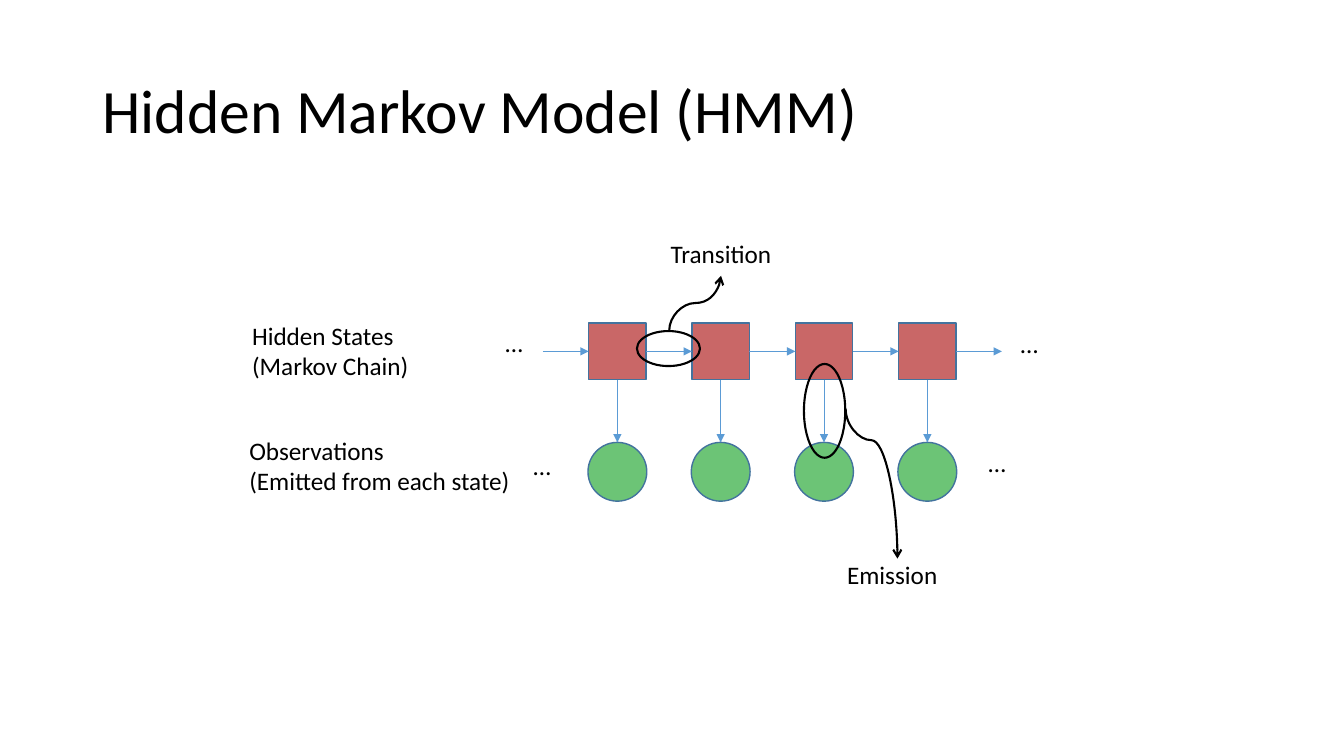
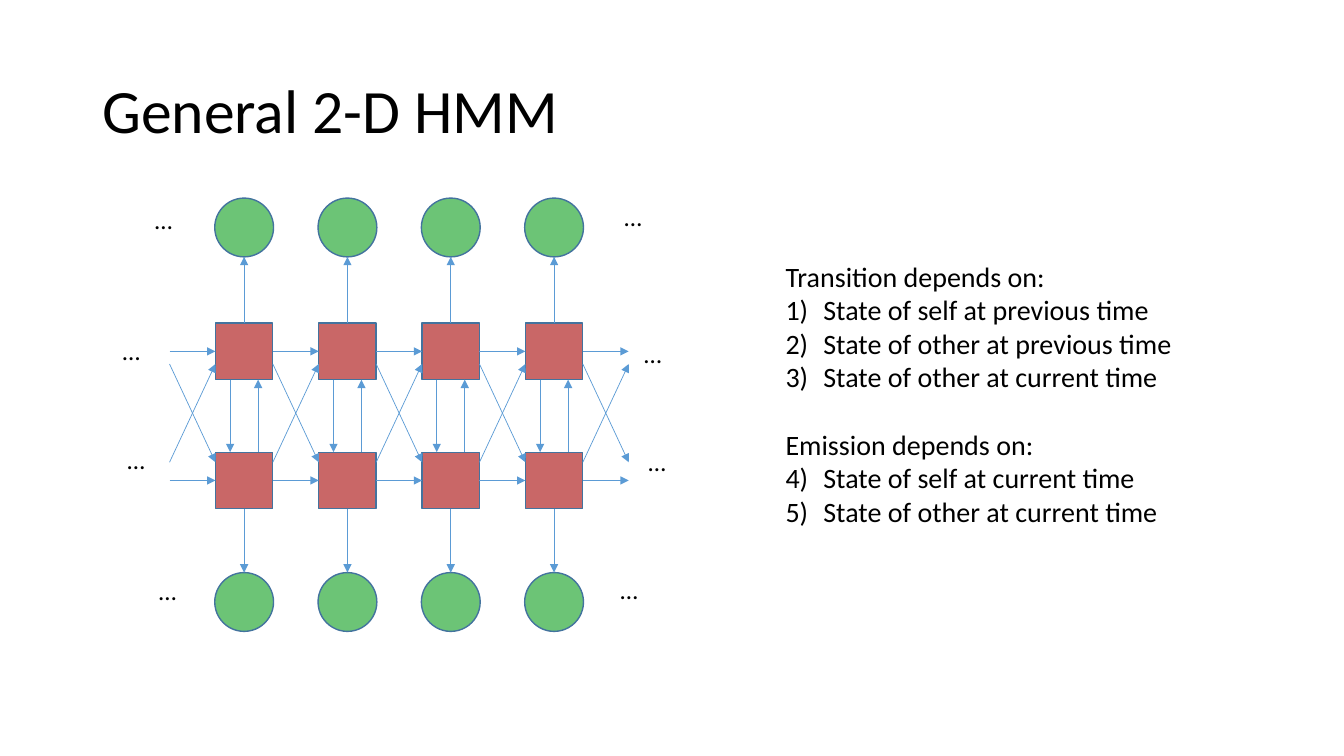
"""Builds two slides on hidden Markov models."""
import pptx
import pptx.util
import pptx.dml.color
import pptx.enum.shapes
import pptx.enum.text
import pptx.oxml.ns
from lxml import etree

Pt = pptx.util.Pt
KIND = pptx.enum.shapes.MSO_SHAPE
LINK = pptx.enum.shapes.MSO_CONNECTOR
qn = pptx.oxml.ns.qn

THEME = {
    "font": "Calibri", "ink": "000000", "state": "C96767", "seen": "6CC476",
    "edge": "43739E", "arrow": "5B9BD5",
    "title": 44, "list": 20, "label": 18, "rim": 1, "thin": 0.5, "thick": 1.5,
}
COUNT, PITCH = 4, 73.8
WIDE, TALL, DISC = 41, 40.4, 42

CHAIN = {
    "title": "Hidden Markov Model (HMM)",
    "left": 441, "state": 251, "seen": 337,
    "dots": [(374, 318), (722, 231), (354, 230), (699, 316)],
    "labels": [
        (173, 225, 172, ["Hidden States", "(Markov Chain)"]),
        (171, 307.5, 216, ["Observations", "(Emitted from each state)"]),
        (472, 167, 172, ["Transition"]),
        (598, 396, 172, ["Emission"]),
    ],
    "rings": [(477.5, 249, 45, 25), (589, 293.5, 29.5, 67)],
    "curves": [((604, 292), (641, 399), 0.21), ((478, 236), (515, 197), 0.5)],
}
GRID = {
    "title": "General 2-D HMM",
    "left": 174.4, "states": (251, 343.2), "seen": (162.5, 430),
    "dots": [(456, 315), (436, 407), (439, 140), (453, 238),
             (84, 314), (106.5, 407.5), (103.5, 142.5), (80.5, 236)],
    "list": [
        ("Transition depends on:", [
            "State of self at previous time",
            "State of other at previous time",
            "State of other at current time"]),
        ("Emission depends on:", [
            "State of self at current time",
            "State of other at current time"]),
    ],
}


def tint(name):
    return pptx.dml.color.RGBColor.from_string(THEME[name])


def write(para, text, size):
    run = para.add_run()
    run.text = text
    run.font.name = THEME["font"]
    run.font.size = Pt(THEME[size])
    run.font.color.rgb = tint("ink")


def box(slide, x, y, w, h):
    frame = slide.shapes.add_textbox(Pt(x), Pt(y), Pt(w), Pt(h)).text_frame
    frame.word_wrap = True
    return frame


def lines(frame):
    yield frame.paragraphs[0]
    while True:
        yield frame.add_paragraph()


def label(slide, x, y, w, texts):
    frame = box(slide, x, y, w, 7 + 22 * len(texts))
    for text, para in zip(texts, lines(frame)):
        write(para, text, "label")


def start(deck, data):
    slide = deck.slides.add_slide(deck.slide_layouts[6])
    frame = box(slide, 66, 29, 828, 104)
    frame.vertical_anchor = pptx.enum.text.MSO_ANCHOR.MIDDLE
    frame.paragraphs[0].line_spacing = 0.9
    write(frame.paragraphs[0], data["title"], "title")
    for x, y in data["dots"]:
        label(slide, x, y, 25, ["…"])
    return slide


def node(slide, kind, x, y, w, h, fill=None, edge="edge", rim="rim"):
    shape = slide.shapes.add_shape(
        kind, Pt(x - w / 2), Pt(y - h / 2), Pt(w), Pt(h))
    shape.shadow.inherit = False
    if fill:
        shape.fill.solid()
        shape.fill.fore_color.rgb = tint(fill)
    else:
        shape.fill.background()
    shape.line.color.rgb = tint(edge)
    shape.line.width = Pt(THEME[rim])
    return shape


def arrow(slide, a, b, kind=LINK.STRAIGHT, color="arrow", size="thin",
          head="triangle"):
    link = slide.shapes.add_connector(kind, *map(Pt, (*a, *b)))
    link.line.color.rgb = tint(color)
    link.line.width = Pt(THEME[size])
    props = link._element.spPr
    etree.SubElement(props.find(qn("a:ln")), qn("a:tailEnd"), type=head)
    etree.SubElement(props, qn("a:effectLst"))
    return link


def curve(slide, a, b, bend):
    midx, midy = (a[0] + b[0]) / 2, (a[1] + b[1]) / 2
    down = b[1] > a[1]
    run = abs(b[1] - a[1]) / 2
    rise = (b[0] - a[0]) / 2 * (1 if down else -1)
    link = arrow(slide, (midx + run, midy - rise), (midx - run, midy + rise),
                 LINK.CURVE, "ink", "thick", "arrow")
    props = link._element.spPr
    props.find(qn("a:xfrm")).set("rot", str((270 if down else 90) * 60000))
    geom = props.find(qn("a:prstGeom"))
    guides = geom.find(qn("a:avLst"))
    if guides is None:
        guides = etree.SubElement(geom, qn("a:avLst"))
    etree.SubElement(guides, qn("a:gd"), name="adj1",
                     fmla=f"val {round(bend * 100000)}")


def chain(slide, left, y, seen):
    cols = [left + i * PITCH for i in range(COUNT)]
    boxes = [node(slide, KIND.RECTANGLE, x, y, WIDE, TALL, "state")
             for x in cols]
    ends = [None, *boxes, None]
    for i, (a, b) in enumerate(zip(ends, ends[1:])):
        x = left + (i - 1) * PITCH + WIDE / 2
        link = arrow(slide, (x, y), (x + PITCH - WIDE, y))
        if a:
            link.begin_connect(a, 3)
        if b:
            link.end_connect(b, 1)
    side = 1 if seen > y else -1
    for x, state in zip(cols, boxes):
        node(slide, KIND.OVAL, x, seen, DISC, DISC, "seen")
        link = arrow(slide, (x, y + side * TALL / 2),
                     (x, seen - side * DISC / 2))
        link.begin_connect(state, 2 if side > 0 else 0)


def cross(slide, left, top, low):
    for i in range(COUNT):
        x = left + i * PITCH
        y, z = top + TALL / 2, low - TALL / 2
        arrow(slide, (x - 10, y), (x - 10, z))
        arrow(slide, (x + 10, z), (x + 10, y))
    for i in range(COUNT + 1):
        x = left + (i - 1) * PITCH + WIDE / 2
        y, z, end = top + 9, low - 13, x + PITCH - WIDE
        arrow(slide, (x, y), (end, z))
        arrow(slide, (x, z), (end, y))


def number(para, first):
    props = para._p.get_or_add_pPr()
    props.set("marL", str(Pt(27)))
    props.set("indent", str(-Pt(27)))
    etree.SubElement(props, qn("a:buFont"), typeface="+mj-lt")
    etree.SubElement(props, qn("a:buAutoNum"), type="arabicParenR",
                     startAt=str(first))


def rules(slide, groups):
    paras = lines(box(slide, 554, 181.5, 394, 201))
    first = 1
    for head, items in groups:
        para = next(paras)
        if first > 1:
            para.space_before = Pt(24)
        write(para, head, "list")
        for item in items:
            para = next(paras)
            number(para, first)
            write(para, item, "list")
        first += len(items)


def main():
    deck = pptx.Presentation()
    deck.slide_width, deck.slide_height = Pt(960), Pt(540)

    slide = start(deck, CHAIN)
    chain(slide, CHAIN["left"], CHAIN["state"], CHAIN["seen"])
    for spot in CHAIN["labels"]:
        label(slide, *spot)
    for ring in CHAIN["rings"]:
        node(slide, KIND.OVAL, *ring, edge="ink", rim="thick")
    for bend in CHAIN["curves"]:
        curve(slide, *bend)

    slide = start(deck, GRID)
    for y, seen in zip(GRID["states"], GRID["seen"]):
        chain(slide, GRID["left"], y, seen)
    cross(slide, GRID["left"], *GRID["states"])
    rules(slide, GRID["list"])
    deck.save("out.pptx")


if __name__ == "__main__":
    main()
